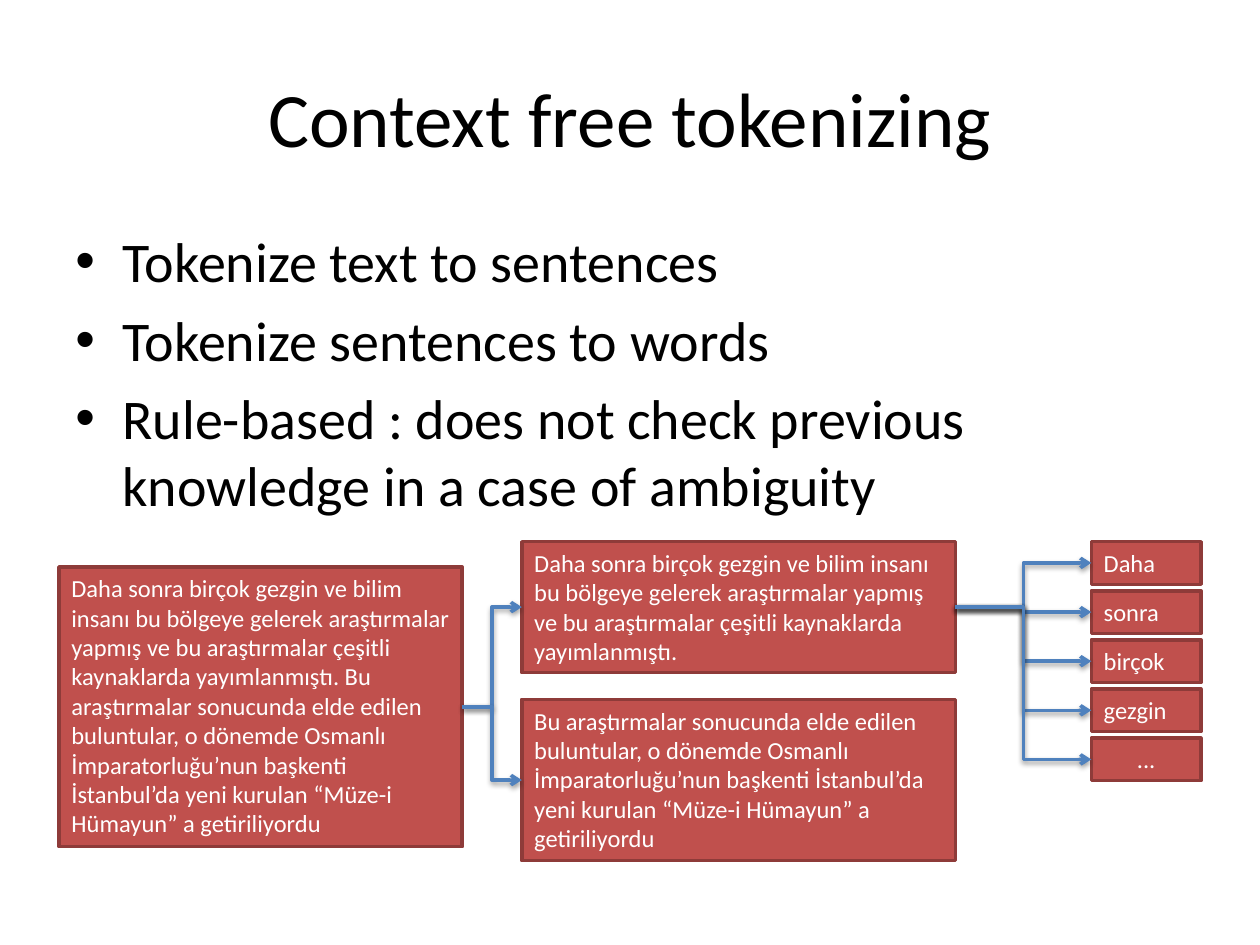
from dataclasses import dataclass

from lxml.etree import SubElement
from pptx import Presentation
from pptx.dml.color import RGBColor
from pptx.enum.shapes import MSO_CONNECTOR, MSO_SHAPE
from pptx.enum.text import MSO_ANCHOR, MSO_AUTO_SIZE, PP_ALIGN
from pptx.oxml.ns import qn
from pptx.util import Cm, Pt

# Content
TITLE = "Context free tokenizing"
POINTS = [
    "Tokenize text to sentences",
    "Tokenize sentences to words",
    "Rule-based : does not check previous knowledge in a case of ambiguity",
]
SENTENCES = [
    "Daha sonra birçok gezgin ve bilim insanı bu bölgeye gelerek araştırmalar "
    "yapmış ve bu araştırmalar çeşitli kaynaklarda yayımlanmıştı.",
    "Bu araştırmalar sonucunda elde edilen buluntular, o dönemde Osmanlı "
    "İmparatorluğu’nun başkenti İstanbul’da yeni kurulan “Müze-i Hümayun” a "
    "getiriliyordu",
]
PASSAGE = " ".join(SENTENCES)
WORDS = ["Daha", "sonra", "birçok", "gezgin", "..."]


@dataclass(frozen=True)
class Theme:
    font: str = "Calibri"
    title_size: Pt = Pt(44)
    point_size: Pt = Pt(32)
    box_size: Pt = Pt(14)
    point_gap: Pt = Pt(6.4)
    line_width: Pt = Pt(2)
    text: RGBColor = RGBColor(0x00, 0x00, 0x00)
    box_text: RGBColor = RGBColor(0xFF, 0xFF, 0xFF)
    box_fill: RGBColor = RGBColor(0xC0, 0x50, 0x4D)
    box_line: RGBColor = RGBColor(0x8E, 0x3B, 0x39)
    arrow: RGBColor = RGBColor(0x4F, 0x81, 0xBD)


THEME = Theme()

# Layout in centimetres
MARGIN, TEXT_WIDTH = 1.27, 22.86
PASSAGE_AREA = (1.19, 11.43, 8.13, 5.64)
SENTENCE_LEFT, SENTENCE_WIDTH = 10.52, 8.74
SENTENCE_HEIGHTS, SENTENCE_GAP = [2.64, 3.25], 0.54
WORD_LEFT, WORD_WIDTH, WORD_HEIGHT, WORD_PITCH = 22.0, 2.21, 0.86, 0.99
SPLIT_TOP = 10.92
RIGHT_SITE, LEFT_SITE = 3, 1


def style(paragraph, size, color, align=PP_ALIGN.LEFT):
    paragraph.alignment = align
    paragraph.font.name = THEME.font
    paragraph.font.size = size
    paragraph.font.color.rgb = color


def add_text(slide, top, height, anchor):
    area = map(Cm, (MARGIN, top, TEXT_WIDTH, height))
    frame = slide.shapes.add_textbox(*area).text_frame
    frame.word_wrap = True
    frame.vertical_anchor = anchor
    return frame


def add_bullet(paragraph):
    properties = paragraph._p.get_or_add_pPr()
    properties.set("marL", str(Cm(0.95)))
    properties.set("indent", str(-Cm(0.95)))
    SubElement(properties, qn("a:buFont"), typeface="Arial")
    SubElement(properties, qn("a:buChar"), char="•")


def add_box(slide, text, left, top, width, height):
    box = slide.shapes.add_shape(
        MSO_SHAPE.RECTANGLE, *map(Cm, (left, top, width, height)))
    box.shadow.inherit = False
    box.fill.solid()
    box.fill.fore_color.rgb = THEME.box_fill
    box.line.color.rgb = THEME.box_line
    box.line.width = THEME.line_width
    frame = box.text_frame
    frame.word_wrap = True
    frame.auto_size = MSO_AUTO_SIZE.SHAPE_TO_FIT_TEXT
    frame.vertical_anchor = MSO_ANCHOR.TOP
    frame.text = text
    align = PP_ALIGN.CENTER if text == "..." else PP_ALIGN.LEFT
    style(frame.paragraphs[0], THEME.box_size, THEME.box_text, align)
    return box


def add_arrow(slide, source, target):
    arrow = slide.shapes.add_connector(
        MSO_CONNECTOR.ELBOW,
        source.left + source.width, source.top + source.height // 2,
        target.left, target.top + target.height // 2)
    arrow.begin_connect(source, RIGHT_SITE)
    arrow.end_connect(target, LEFT_SITE)
    arrow.line.color.rgb = THEME.arrow
    arrow.line.width = THEME.line_width
    SubElement(arrow.line._get_or_add_ln(), qn("a:tailEnd"), type="arrow")
    # Soft shadow straight below the line
    effects = SubElement(arrow._element.spPr, qn("a:effectLst"))
    shadow = SubElement(effects, qn("a:outerShdw"), blurRad="40000",
                        dist="20000", dir="5400000", rotWithShape="0")
    black = SubElement(shadow, qn("a:srgbClr"), val="000000")
    SubElement(black, qn("a:alpha"), val="38000")


def main():
    deck = Presentation()
    deck.slide_width, deck.slide_height = Cm(25.4), Cm(19.05)
    slide = deck.slides.add_slide(deck.slide_layouts[6])

    # Title
    heading = add_text(slide, 0.76, 3.18, MSO_ANCHOR.MIDDLE)
    heading.text = TITLE
    style(heading.paragraphs[0], THEME.title_size, THEME.text, PP_ALIGN.CENTER)

    # Bullet points
    points = add_text(slide, 4.45, 6.48, MSO_ANCHOR.TOP)
    points.text = "\n".join(POINTS)
    for point in points.paragraphs:
        style(point, THEME.point_size, THEME.text)
        point.space_before = THEME.point_gap
        add_bullet(point)

    # Passage, split into sentences
    passage = add_box(slide, PASSAGE, *PASSAGE_AREA)
    sentences = []
    top = SPLIT_TOP
    for text, height in zip(SENTENCES, SENTENCE_HEIGHTS):
        sentences.append(add_box(
            slide, text, SENTENCE_LEFT, top, SENTENCE_WIDTH, height))
        top += height + SENTENCE_GAP
    for sentence in sentences:
        add_arrow(slide, passage, sentence)

    # First sentence, split into words
    words = [
        add_box(slide, text, WORD_LEFT, SPLIT_TOP + row * WORD_PITCH,
                WORD_WIDTH, WORD_HEIGHT)
        for row, text in enumerate(WORDS)
    ]
    for word in words:
        add_arrow(slide, sentences[0], word)

    deck.save("out.pptx")


if __name__ == "__main__":
    main()
